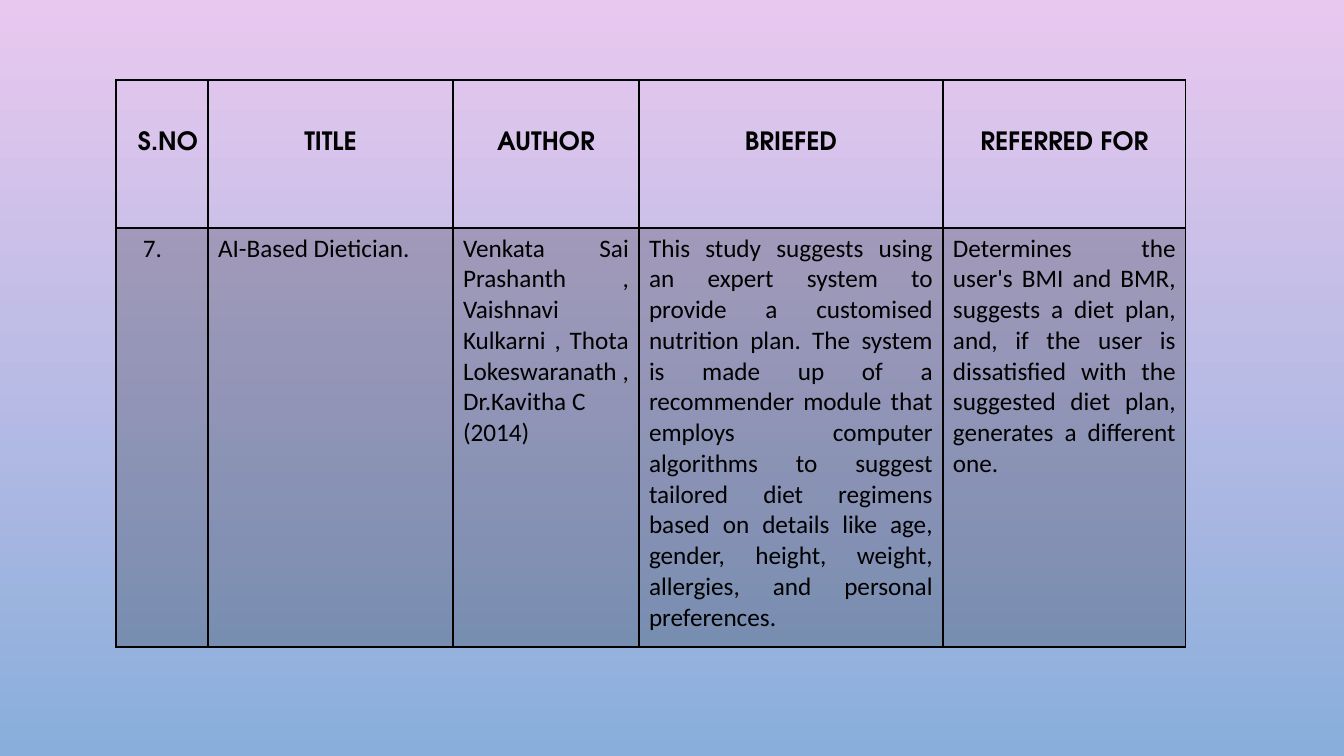
import dataclasses

import lxml.etree
import pptx
import pptx.dml.color
import pptx.enum.text
import pptx.oxml.ns
import pptx.util

ALIGN = pptx.enum.text.PP_ALIGN


@dataclasses.dataclass(frozen=True)
class Theme:
    sky_top: str = "E9C8EF"
    sky_bottom: str = "89AEDB"
    ink: str = "000000"
    shade_alpha: int = 20
    heading_font: str = "TeX Gyre Adventor"
    body_font: str = "Calibri"
    text_size: int = 18
    thin: int = 1
    thick: int = 2


THEME = Theme()
COLUMNS = [92, 245, 186, 304, 243]
ROWS = [148, 419]
HEADINGS = ["S.NO", "TITLE", "AUTHOR", "BRIEFED", "REFERRED FOR"]
STUDY = [
    ["7."],
    ["AI-Based Dietician."],
    [
        "Venkata Sai Prashanth , Vaishnavi Kulkarni , Thota Lokeswaranath , Dr.Kavitha C",
        "(2014)",
    ],
    [
        "This study suggests using an expert system to provide a customised nutrition plan. "
        "The system is made up of a recommender module that employs computer algorithms to "
        "suggest tailored diet regimens based on details like age, gender, height, weight, "
        "allergies, and personal preferences."
    ],
    [
        "Determines the user's BMI and BMR, suggests a diet plan, and, if the user is "
        "dissatisfied with the suggested diet plan, generates a different one."
    ],
]


def px(n):
    return pptx.util.Emu(round(n * 914400 / 100.8))


def rgb(color):
    return pptx.dml.color.RGBColor.from_string(color)


def add_text(tf, text, font=THEME.body_font, bold=False, align=ALIGN.JUSTIFY, spacing=None):
    p = tf.paragraphs[0] if not tf.text else tf.add_paragraph()
    p.alignment = align
    p.line_spacing = spacing
    r = p.add_run()
    r.text = text
    r.font.name = font
    r.font.size = pptx.util.Pt(THEME.text_size)
    r.font.bold = bold
    r.font.color.rgb = rgb(THEME.ink)


def set_borders(cell, bottom=THEME.thin):
    qn = pptx.oxml.ns.qn
    tcPr = cell._tc.get_or_add_tcPr()
    widths = {"a:lnL": THEME.thin, "a:lnR": THEME.thin, "a:lnT": THEME.thin, "a:lnB": bottom}
    for i, (tag, width) in enumerate(widths.items()):
        ln = lxml.etree.Element(qn(tag), w=str(pptx.util.Pt(width)))
        fill = lxml.etree.SubElement(ln, qn("a:solidFill"))
        lxml.etree.SubElement(fill, qn("a:srgbClr"), val=THEME.ink)
        tcPr.insert(i, ln)


def shade(cell):
    qn = pptx.oxml.ns.qn
    cell.fill.solid()
    cell.fill.fore_color.rgb = rgb(THEME.ink)
    color = cell._tc.tcPr.find(qn("a:solidFill")).find(qn("a:srgbClr"))
    lxml.etree.SubElement(color, qn("a:alpha"), val=str(THEME.shade_alpha * 1000))


def paint_background(s):
    fill = s.background.fill
    fill.gradient()
    fill.gradient_angle = 270
    for stop, color, position in zip(
        fill.gradient_stops, (THEME.sky_top, THEME.sky_bottom), (0, 1)
    ):
        stop.color.rgb = rgb(color)
        stop.position = position


def add_study_table(s, left, top):
    sp = s.shapes.add_table(
        len(ROWS), len(COLUMNS), px(left), px(top), px(sum(COLUMNS)), px(sum(ROWS))
    )
    table = sp.table
    table.first_row = False
    table.horz_banding = False
    for column, width in zip(table.columns, COLUMNS):
        column.width = px(width)
    for row, height in zip(table.rows, ROWS):
        row.height = px(height)

    for i, (heading, paragraphs) in enumerate(zip(HEADINGS, STUDY)):
        head, body = table.cell(0, i), table.cell(1, i)
        add_text(
            head.text_frame,
            heading,
            font=THEME.heading_font,
            bold=True,
            align=ALIGN.CENTER if i else ALIGN.RIGHT,
            spacing=3.0,
        )
        head.fill.background()
        set_borders(head, bottom=THEME.thick)

        for text in paragraphs:
            add_text(body.text_frame, text, align=ALIGN.JUSTIFY if i else ALIGN.LEFT)
        shade(body)
        set_borders(body)
    table.cell(1, 0).margin_left = px(27)


def main():
    prs = pptx.Presentation()
    prs.slide_width, prs.slide_height = px(1344), px(756)
    s = prs.slides.add_slide(prs.slide_layouts[6])
    paint_background(s)
    add_study_table(s, 116, 80)
    prs.save("out.pptx")


if __name__ == "__main__":
    main()
